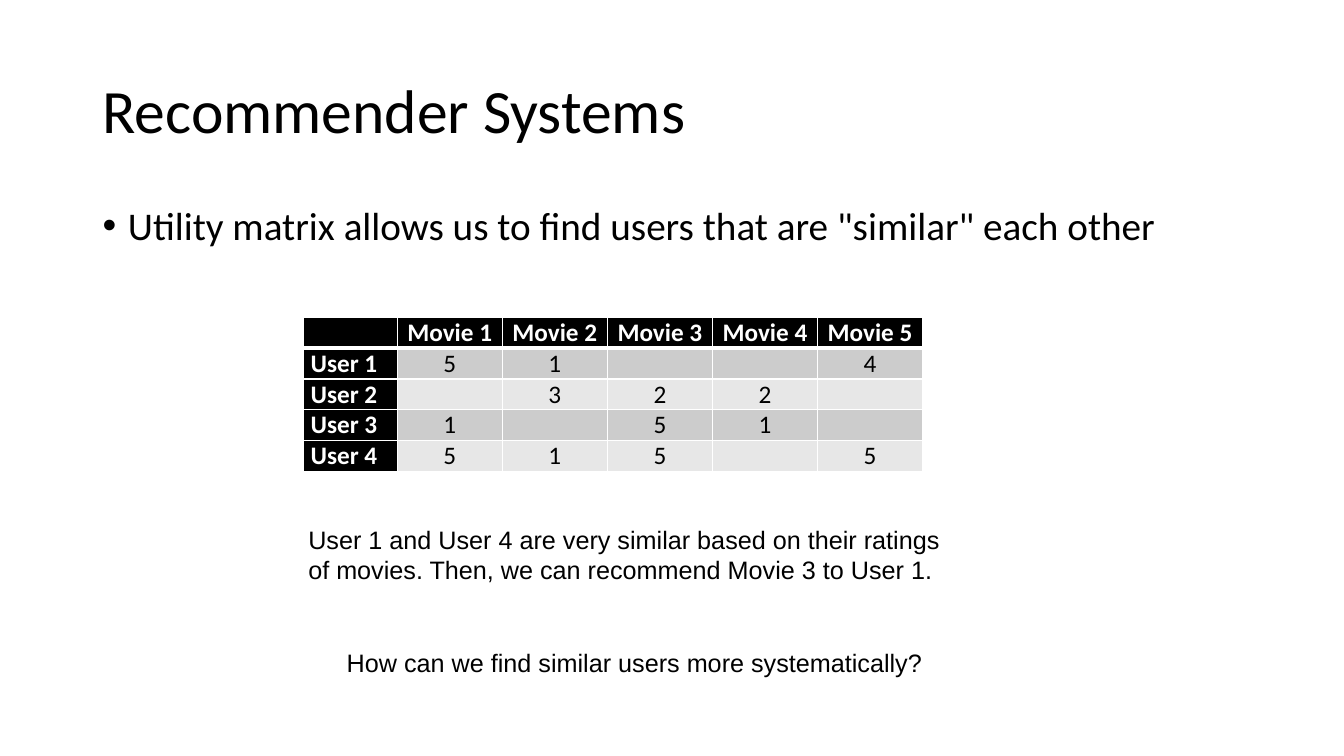
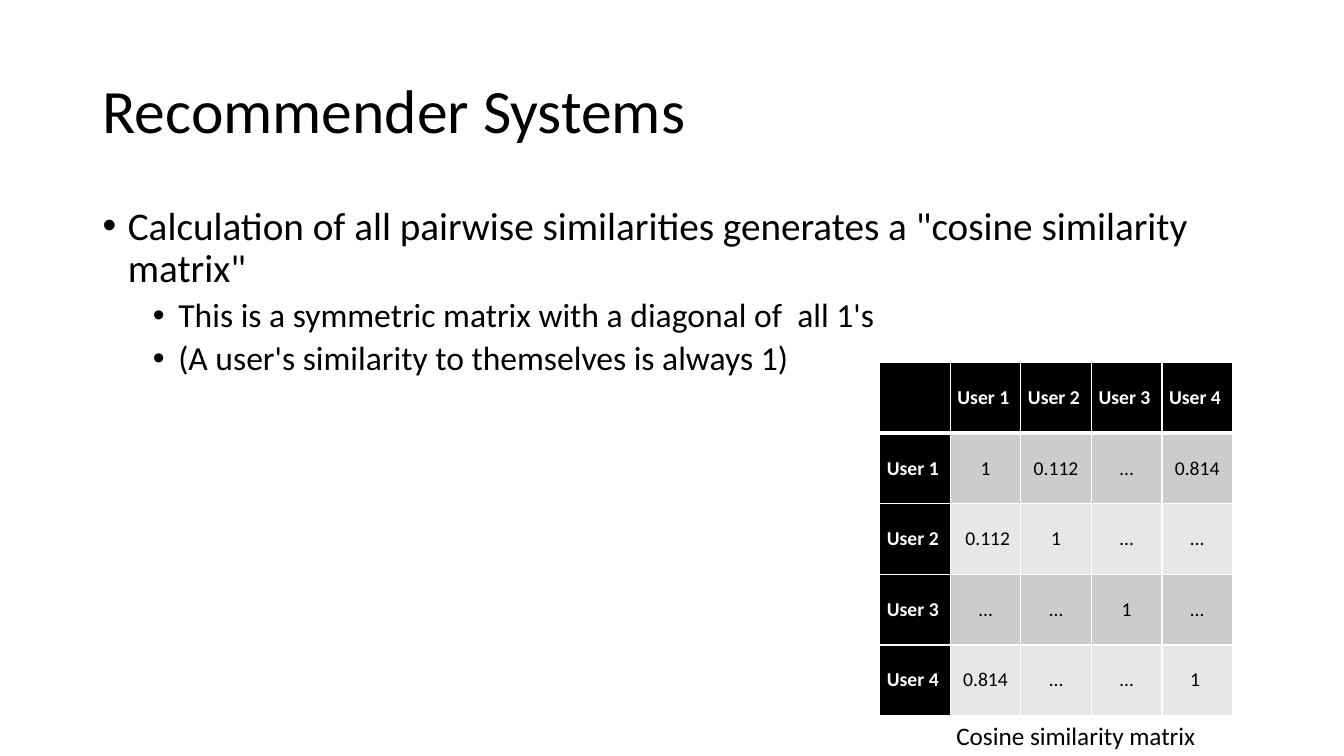
import collections

import pptx
import pptx.dml.color
import pptx.enum.text
import pptx.oxml
import pptx.oxml.ns
import pptx.util

Cm = pptx.util.Cm
RGBColor = pptx.dml.color.RGBColor
ALIGN = pptx.enum.text.PP_ALIGN
ANCHOR = pptx.enum.text.MSO_ANCHOR

BLACK = RGBColor(0x00, 0x00, 0x00)
WHITE = RGBColor(0xFF, 0xFF, 0xFF)
BANDS = RGBColor(0xCC, 0xCC, 0xCC), RGBColor(0xE7, 0xE7, 0xE7)

Box = collections.namedtuple("Box", "left top width height")
PAGE = Box(0, 0, 33.87, 19.05)
TITLE = Box(2.33, 1.01, 29.21, 3.68)
BODY = Box(2.33, 5.08, 29.21, 12.09)
BULLET_STYLES = [  # size, space before, left margin in cm
    (28, 10, 0.64),
    (24, 5, 1.91),
]
BULLET_HANG = 0.64

RATINGS = [
    ["", "Movie 1", "Movie 2", "Movie 3", "Movie 4", "Movie 5"],
    ["User 1", "5", "1", "", "", "4"],
    ["User 2", "", "3", "2", "2", ""],
    ["User 3", "1", "", "5", "1", ""],
    ["User 4", "5", "1", "5", "", "5"],
]
SIMILARITIES = [
    ["", "User 1", "User 2", "User 3", "User 4"],
    ["User 1", "1", "0.112", "…", "0.814"],
    ["User 2", "\u00a00.112", "1", "…", "…"],
    ["User 3", "…", "…", "1", "…"],
    ["User 4", "0.814", "…", "…", "1\u00a0"],
]


def write(paragraph, text, size=18, font="Calibri", color=BLACK, bold=False,
          align=ALIGN.LEFT, line_spacing=None, before=0):
    """Add one formatted run to a paragraph."""
    paragraph.alignment = align
    paragraph.space_before = pptx.util.Pt(before)
    if line_spacing:
        paragraph.line_spacing = line_spacing
    run = paragraph.add_run()
    run.text = text
    run.font.size = pptx.util.Pt(size)
    run.font.name = font
    run.font.bold = bold
    run.font.color.rgb = color


def place(shape, box):
    """Move and size a shape to a box given in centimetres."""
    shape.left, shape.top, shape.width, shape.height = map(Cm, box)


def set_bullet(paragraph, margin):
    """Give a paragraph a round bullet with a hanging indent."""
    properties = paragraph._p.get_or_add_pPr()
    properties.set("marL", str(Cm(margin)))
    properties.set("indent", str(-Cm(BULLET_HANG)))
    for tag, name, value in (("buFont", "typeface", "Arial"), ("buChar", "char", "•")):
        bullet = pptx.oxml.parse_xml(
            f'<a:{tag} {pptx.oxml.ns.nsdecls("a")} {name}="{value}"/>')
        properties.append(bullet)


def add_bullet_slide(deck, title, bullets):
    """Add a slide with a title and (level, text) bullets."""
    slide = deck.slides.add_slide(deck.slide_layouts[1])
    heading, body = slide.shapes.title, slide.placeholders[1]
    place(heading, TITLE)
    place(body, BODY)
    for placeholder, anchor in ((heading, ANCHOR.MIDDLE), (body, ANCHOR.TOP)):
        placeholder.text_frame.vertical_anchor = anchor
        placeholder.text_frame.auto_size = pptx.enum.text.MSO_AUTO_SIZE.NONE
    write(heading.text_frame.paragraphs[0], title, size=44, line_spacing=0.9)
    for index, (level, text) in enumerate(bullets):
        frame = body.text_frame
        paragraph = frame.add_paragraph() if index else frame.paragraphs[0]
        paragraph.level = level
        size, before, margin = BULLET_STYLES[level]
        write(paragraph, text, size=size, line_spacing=0.9, before=before)
        set_bullet(paragraph, margin)
    return slide


def add_note(slide, box, text, wrap=True, **text_format):
    """Add a text box holding one paragraph."""
    note = slide.shapes.add_textbox(*map(Cm, box))
    note.text_frame.word_wrap = wrap
    write(note.text_frame.paragraphs[0], text, **text_format)


def set_borders(cell, top, bottom):
    """Draw white cell borders, with top and bottom widths in points."""
    properties = cell._tc.get_or_add_tcPr()
    for side, width in (("L", 1), ("R", 1), ("T", top), ("B", bottom)):
        properties.append(pptx.oxml.parse_xml(
            f'<a:ln{side} {pptx.oxml.ns.nsdecls("a")} w="{pptx.util.Pt(width)}">'
            f'<a:solidFill><a:srgbClr val="{WHITE}"/></a:solidFill></a:ln{side}>'))


def add_matrix(slide, box, rows, label_width, size, header_align, anchor):
    """Add a matrix with black headers and banded values."""
    columns = len(rows[0])
    matrix = slide.shapes.add_table(len(rows), columns, *map(Cm, box)).table
    value_width = (box.width - label_width) / (columns - 1)
    for c, column in enumerate(matrix.columns):
        column.width = Cm(value_width if c else label_width)
    for r, values in enumerate(rows):
        matrix.rows[r].height = Cm(box.height / len(rows))
        for c, value in enumerate(values):
            cell = matrix.cell(r, c)
            is_header = r == 0 or c == 0
            cell.margin_left = cell.margin_right = Cm(0.18)
            cell.margin_top = cell.margin_bottom = 0
            cell.vertical_anchor = anchor
            set_borders(cell, 3 if r == 1 else 1, 3 if r == 0 else 1)
            cell.fill.solid()
            cell.fill.fore_color.rgb = BLACK if is_header else BANDS[(r - 1) % 2]
            if value:
                align = ALIGN.JUSTIFY if c == 0 else header_align if r == 0 else ALIGN.CENTER
                write(cell.text_frame.paragraphs[0], value, size=size, bold=is_header,
                      color=WHITE if is_header else BLACK, align=align)


def add_ratings(slide, box):
    """Place the utility matrix with its conclusion and question below."""
    add_matrix(slide, Box(box.left + 0.13, box.top, 15.6, 3.85), RATINGS,
               label_width=2.36, size=18, header_align=ALIGN.CENTER, anchor=ANCHOR.TOP)
    add_note(slide, Box(box.left, box.top + 5.08, box.width, 1.8),
             "User 1 and User 4 are very similar based on their ratings of movies. "
             "Then, we can recommend Movie 3 to User 1.", font="Arial")
    add_note(slide, Box(box.left, box.top + 8.18, box.width, 1.02),
             "How can we find similar users more systematically?",
             font="Arial", align=ALIGN.CENTER)


def add_similarities(slide, box):
    """Place the square similarity matrix with its caption below."""
    add_matrix(slide, Box(box.left, box.top, box.width, box.width), SIMILARITIES,
               label_width=box.width / 5, size=14, header_align=ALIGN.JUSTIFY,
               anchor=ANCHOR.MIDDLE)
    add_note(slide, Box(box.left + 1.68, box.top + box.width, 6.6, 1.02),
             "Cosine similarity matrix", wrap=False)


def main():
    """Build and save the deck."""
    deck = pptx.Presentation()
    deck.slide_width, deck.slide_height = Cm(PAGE.width), Cm(PAGE.height)
    topic = "Recommender Systems"
    utility = add_bullet_slide(deck, topic, [
        (0, 'Utility matrix allows us to find users that are "similar" each other'),
    ])
    add_ratings(utility, Box(7.52, 8, 16.94, 9.2))
    cosine = add_bullet_slide(deck, topic, [
        (0, 'Calculation of all pairwise similarities generates a "cosine similarity matrix"'),
        (1, "This is a symmetric matrix with a diagonal of  all 1's"),
        (1, "(A user's similarity to themselves is always 1)"),
    ])
    add_similarities(cosine, Box(22.17, 9.14, 8.89, 9.91))
    deck.save("out.pptx")


main()
